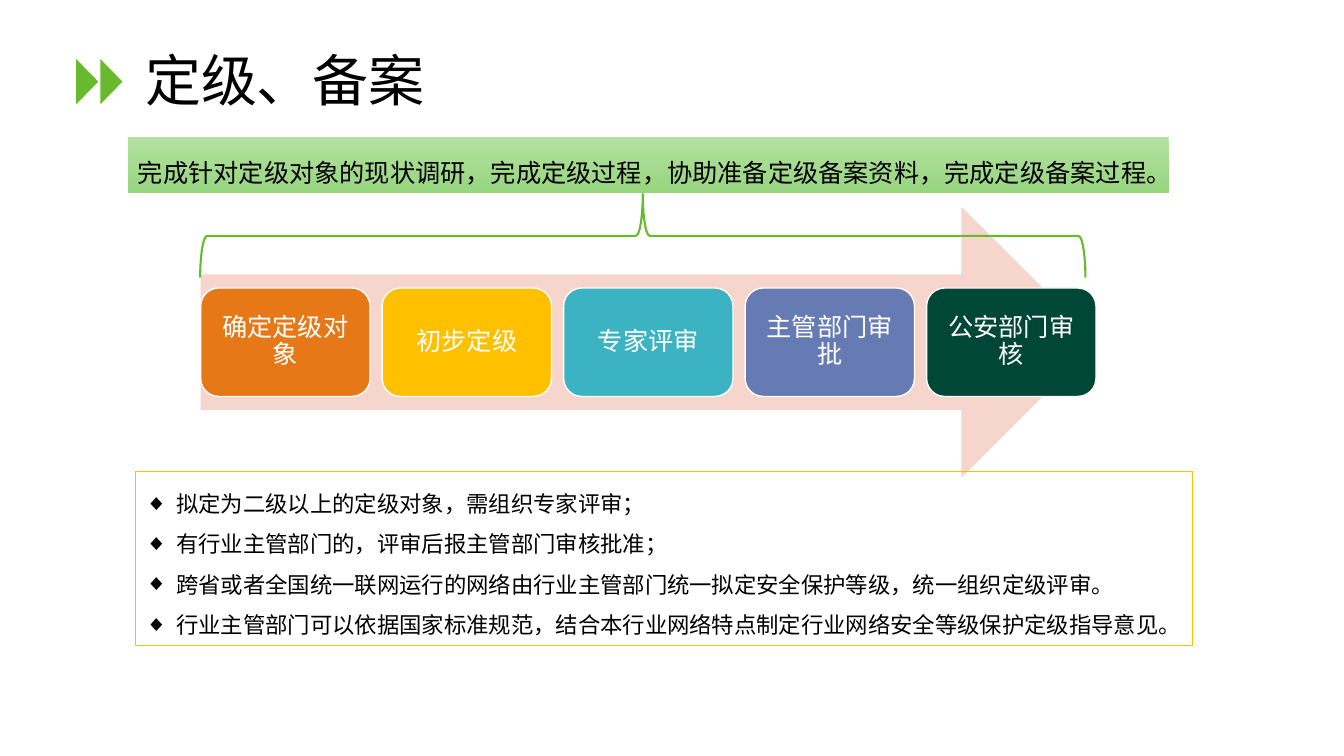
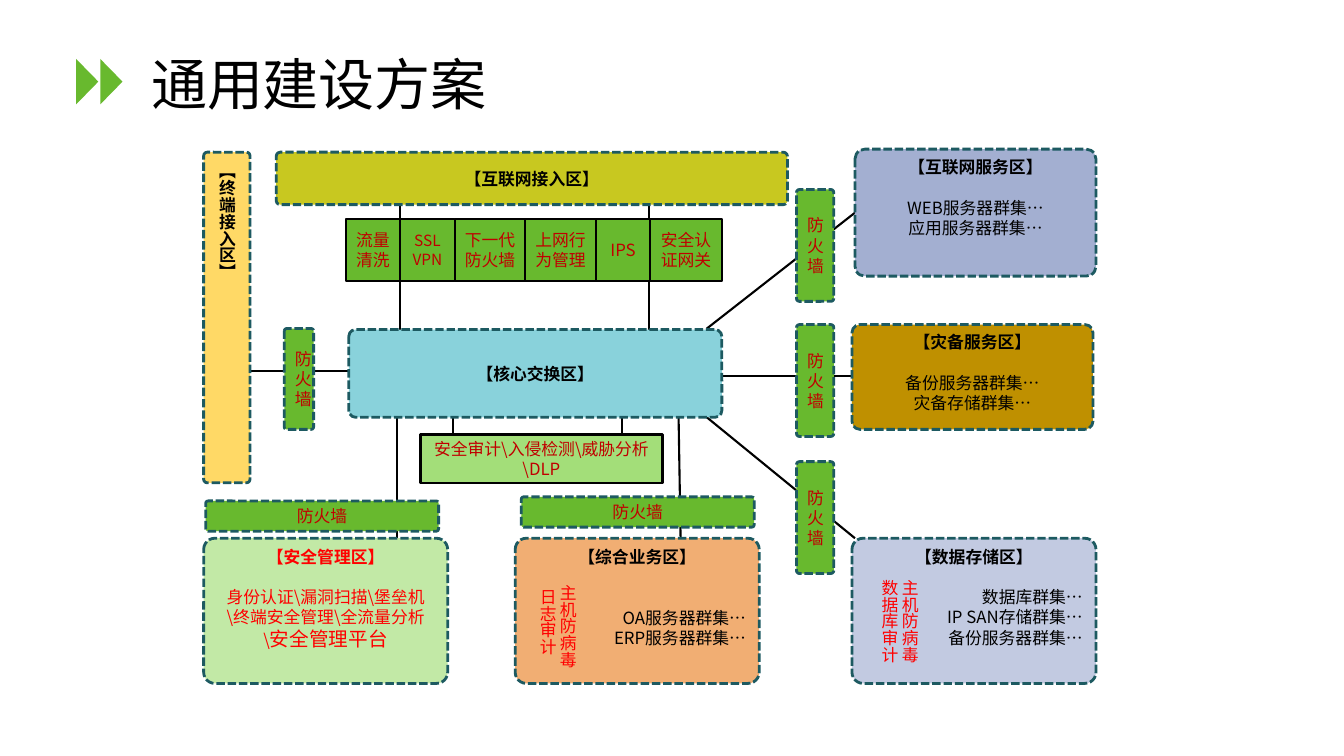
from pptx import Presentation
from pptx.dml.color import RGBColor
from pptx.enum.dml import MSO_LINE as DASH
from pptx.enum.lang import MSO_LANGUAGE_ID as LANG
from pptx.enum.shapes import MSO_CONNECTOR as CONN, MSO_SHAPE as SHAPE
from pptx.enum.text import MSO_ANCHOR as ANCHOR, PP_ALIGN as ALIGN
from pptx.oxml.ns import qn
from pptx.util import Inches, Pt
from lxml.etree import SubElement

GREEN, TEAL, BLACK, WHITE = "68B92E", "1D5A61", "000000", "FFFFFF"
RED, DARK, GOLD = "FF0000", "C00000", "FFC000"
SANS = "Noto Sans CJK SC"
MID = {"alignment": ALIGN.CENTER}
EDGE = {"alignment": ALIGN.RIGHT}
TOP = {"vertical_anchor": ANCHOR.TOP}
CORE = {"vertical_anchor": ANCHOR.MIDDLE}
LINE = 14.5


def apply(item, values):
    """Set each named attribute of an item."""
    for name, value in values.items():
        setattr(item, name, value)


def paint(target, color):
    """Give a fill or font colour from a hex string."""
    if hasattr(target, "solid"):
        target.solid()
        target = target.fore_color
    target.rgb = RGBColor.from_string(color)


def add_run(para, text, size, color, face=SANS, bold=False):
    """Add one styled run to a paragraph."""
    run = para.add_run()
    run.text = text
    apply(run.font, {"size": Pt(size), "name": face, "bold": bold,
                     "language_id": LANG.SIMPLIFIED_CHINESE})
    paint(run.font.color, color)


def write(frame, lines, look, layout, bullet=None):
    """Fill a frame with paragraphs of (text, font values, paragraph values)."""
    apply(frame, {"word_wrap": True, **layout})
    for i, (text, font, extra) in enumerate(lines):
        para = frame.add_paragraph() if i else frame.paragraphs[0]
        if bullet:
            props = para._p.get_or_add_pPr()
            props.set("marL", str(Inches(0.31)))
            props.set("indent", str(-Inches(0.31)))
            SubElement(props, qn("a:buFont"), typeface="Arial")
            SubElement(props, qn("a:buChar"), char=bullet)
        apply(para, {**look, **extra})
        add_run(para, text, **font)


def add_box(slide, kind, box, fill=None, line=None, width=1):
    """Place a preset shape with plain fill and outline."""
    shape = slide.shapes.add_shape(kind, *map(Inches, box))
    shape.shadow.inherit = False
    if fill:
        paint(shape.fill, fill)
    else:
        shape.fill.background()
    if line:
        paint(shape.line.fill, line)
        shape.line.width = Pt(width)
    else:
        shape.line.fill.background()
    return shape


def add_zone(slide, box, fill, lines, layout=CORE):
    """Place a dashed rounded zone with its text."""
    shape = add_box(slide, SHAPE.ROUNDED_RECTANGLE, box, fill, TEAL, 2)
    shape.line.dash_style = DASH.SQUARE_DOT
    shape.adjustments[0] = 0.077
    write(shape.text_frame, lines, MID, layout)
    return shape


def add_tile(slide, box, text, fill=GREEN, size=12, width=1.25):
    """Place a square-cornered device tile."""
    tile = add_box(slide, SHAPE.RECTANGLE, box, fill, BLACK, width)
    write(tile.text_frame, [(text, {"size": size, "color": DARK}, {})], MID, CORE)


def add_link(slide, ends):
    """Draw a black connector."""
    link = slide.shapes.add_connector(CONN.STRAIGHT, *map(Inches, ends))
    paint(link.line.fill, BLACK)
    link.line.width = Pt(1.5)
    SubElement(link._element.spPr, qn("a:effectLst"))


def add_head(deck, title, box):
    """Start a slide with the double chevron and title."""
    slide = deck.slides.add_slide(deck.slide_layouts[6])
    for left in (0.88, 0.64):
        mark = add_box(slide, SHAPE.ISOSCELES_TRIANGLE, (left, 0.7, 0.45, 0.22), GREEN)
        mark.rotation = 90
    frame = slide.shapes.add_textbox(*map(Inches, box)).text_frame
    font = {"size": 40, "color": BLACK, "face": "Montserrat"}
    write(frame, [(title, font, {})], {"line_spacing": 0.9}, CORE)
    return slide


def add_steps(slide, box):
    """Lay equal step cards over a wide arrow."""
    left, top, width, height = box
    add_box(slide, SHAPE.RIGHT_ARROW, box, "F6D6CC")
    steps = (("确定定级对象", "E77817"), ("初步定级", GOLD), ("专家评审", "3BB3C2"),
             ("主管部门审批", "667AB3"), ("公安部门审核", "004738"))
    pad = {f"margin_{side}": Inches(0.12) for side in ("left", "right", "top", "bottom")}
    font = {"size": 18, "color": WHITE, "face": "Arial"}
    for i, (text, fill) in enumerate(steps):
        card = add_box(slide, SHAPE.ROUNDED_RECTANGLE,
                       (left + 1.8 * i, top + 0.3 * height, 1.68, 0.4 * height),
                       fill, WHITE)
        write(card.text_frame, [(text, font, {})], {**MID, "line_spacing": 0.9},
              {**CORE, **pad})


def add_notes(slide, box):
    """Place the outlined list of rules."""
    rules = ("拟定为二级以上的定级对象，需组织专家评审；",
             "有行业主管部门的，评审后报主管部门审核批准；",
             "跨省或者全国统一联网运行的网络由行业主管部门统一拟定安全保护等级，统一组织定级评审。",
             "行业主管部门可以依据国家标准规范，结合本行业网络特点制定行业网络安全等级保护定级指导意见。")
    font = {"size": 16, "color": BLACK, "face": "Arial"}
    shape = add_box(slide, SHAPE.RECTANGLE, box, line=GOLD, width=0.75)
    write(shape.text_frame, [(rule, font, {}) for rule in rules],
          {"alignment": ALIGN.LEFT, "line_spacing": 1.5}, TOP, "◆")


def add_banner(slide, box):
    """Place the gradient summary band."""
    band = add_box(slide, SHAPE.RECTANGLE, box)
    band.fill.gradient()
    band.fill.gradient_angle = 270
    for stop, color, spot in zip(band.fill.gradient_stops, ("B2E1A0", "98D57F"), (0, 1)):
        paint(stop.color, color)
        stop.position = spot
    text = "完成针对定级对象的现状调研，完成定级过程，协助准备定级备案资料，完成定级备案过程。"
    font = {"size": 18, "color": BLACK, "face": "Open Sans"}
    write(band.text_frame, [(text, font, {})],
          {"alignment": ALIGN.LEFT, "line_spacing": 1.5}, {**TOP, "margin_right": 0})


def add_pair(slide, box, texts, shift=0):
    """Place two upright red columns, the second pushed down by a shift."""
    frame = slide.shapes.add_textbox(*map(Inches, box)).text_frame
    font = {"size": 12, "color": RED, "face": "Arial"}
    write(frame, [(text, font, {}) for text in texts], {}, {**TOP, "word_wrap": False})
    frame._txBody.bodyPr.set("vert", "eaVert")
    if shift:
        frame.paragraphs[1]._p.get_or_add_pPr().set("marL", str(Inches(shift)))


def label(text, color=BLACK):
    """Return one bold zone heading line."""
    return (f"【{text}】", {"size": 12, "color": color, "bold": True}, {})


def body(texts, align=MID, gap=1, color=BLACK):
    """Return plain zone lines, the first set off by a gap of lines."""
    font = {"size": 12, "color": color}
    return [(text, font, {**align, "space_before": Pt(0 if i else gap * LINE)})
            for i, text in enumerate(texts)]


def add_links(slide):
    """Draw all connectors between the zones."""
    for ends in ((2.48, 3.68, 3.77, 3.68), (6.73, 4.12, 6.75, 5.33),
                 (3.94, 4.14, 3.94, 5.34), (7.01, 3.73, 8.47, 3.73),
                 (6.44, 3.37, 6.44, 2.03), (3.97, 3.27, 3.97, 1.88),
                 (7.01, 3.26, 8.48, 2.11), (7.01, 4.14, 8.48, 5.34),
                 (4.49, 4.14, 4.49, 4.31), (6.17, 4.14, 6.17, 4.31)):
        add_link(slide, ends)


def add_zones(slide):
    """Place the network zones and their text."""
    zones = (
        ((8.45, 3.22, 2.39, 1.04), "BF9000", "灾备服务区",
         body(("备份服务器群集…", "灾备存储群集…"))),
        ((8.48, 1.48, 2.39, 1.26), "A3AFD1", "互联网服务区",
         body(("WEB服务器群集…", "应用服务器群集…"))),
        ((5.11, 5.34, 2.42, 1.44), "F1AE73", "综合业务区",
         body(("OA服务器群集…", "ERP服务器群集…"), EDGE, 2)),
        ((8.45, 5.34, 2.42, 1.44), "C2CAE1", "数据存储区",
         body(("数据库群集…", "IP SAN存储群集…", "备份服务器群集…"), EDGE)))
    for box, fill, name, lines in zones:
        add_zone(slide, box, fill, [label(name), *lines], TOP)
    tools = body(("身份认证\\漏洞扫描\\堡垒机\\终端安全管理\\全流量分析\\",), color=RED)
    admin = add_zone(slide, (2.02, 5.34, 2.42, 1.44), "C2E9A6",
                     [label("安全管理区", RED), *tools], TOP)
    add_run(admin.text_frame.paragraphs[-1], "安全管理平台", 14, RED)
    add_zone(slide, (3.46, 3.27, 3.7, 0.87), "89D2DB", [label("核心交换区")])
    add_zone(slide, (2.74, 1.51, 5.07, 0.52), "C8C820", [label("互联网接入区")])
    access = add_zone(slide, (2.02, 1.51, 0.46, 3.28), "FFD966", [label("终端接入区")])
    access.text_frame._txBody.bodyPr.set("vert", "eaVert")
    access.text_frame.paragraphs[0].alignment = ALIGN.LEFT
    add_pair(slide, (5.2, 5.7, 0.58, 0.91), ("主机防病毒", "日志审计"), 0.04)
    add_pair(slide, (8.59, 5.65, 0.58, 0.91), ("主机防病毒", "数据库审计"))


def add_walls(slide):
    """Place the firewalls on the links."""
    for box in ((2.04, 4.97, 2.31, 0.3), (5.17, 4.93, 2.31, 0.3), (2.82, 3.26, 0.29, 1),
                *((7.9, top, 0.37, 1.11) for top in (1.88, 3.22, 4.58))):
        add_zone(slide, box, GREEN, body(("防火墙",), gap=0, color=DARK))


def add_tiles(slide, left, top):
    """Lay the gateway devices side by side, and the audit bar below."""
    for text, width, size in (("流量清洗", 0.54, 12), ("SSL VPN", 0.54, 11),
                              ("下一代防火墙", 0.7, 12), ("上网行为管理", 0.7, 12),
                              ("IPS", 0.54, 12), ("安全认证网关", 0.71, 12)):
        add_tile(slide, (left, top, width, 0.62), text, size=size)
        left += width
    add_tile(slide, (4.17, 4.31, 2.4, 0.48), "安全审计\\入侵检测\\威胁分析\\DLP",
             "A3DE79", width=1.75)


def grading(deck):
    """Build the grading and filing slide."""
    slide = add_head(deck, "定级、备案", (1.34, 0.26, 11.08, 1.13))
    add_steps(slide, (1.99, 2.05, 8.89, 2.69))
    add_notes(slide, (1.34, 4.68, 10.49, 1.72))
    brace = add_box(slide, SHAPE.LEFT_BRACE, (5.96, -2.05, 0.83, 8.78),
                    line=GREEN, width=1.5)
    brace.rotation = 90
    add_banner(slide, (1.27, 1.36, 10.32, 0.56))


def network(deck):
    """Build the general network plan slide."""
    slide = add_head(deck, "通用建设方案", (1.4, 0.4, 11.01, 0.93))
    add_links(slide)
    add_zones(slide)
    add_walls(slide)
    add_tiles(slide, 3.43, 2.17)


def main():
    """Build and save the deck."""
    deck = Presentation()
    apply(deck, {"slide_width": Inches(13.33), "slide_height": Inches(7.5)})
    grading(deck)
    network(deck)
    deck.save("out.pptx")


if __name__ == "__main__":
    main()
